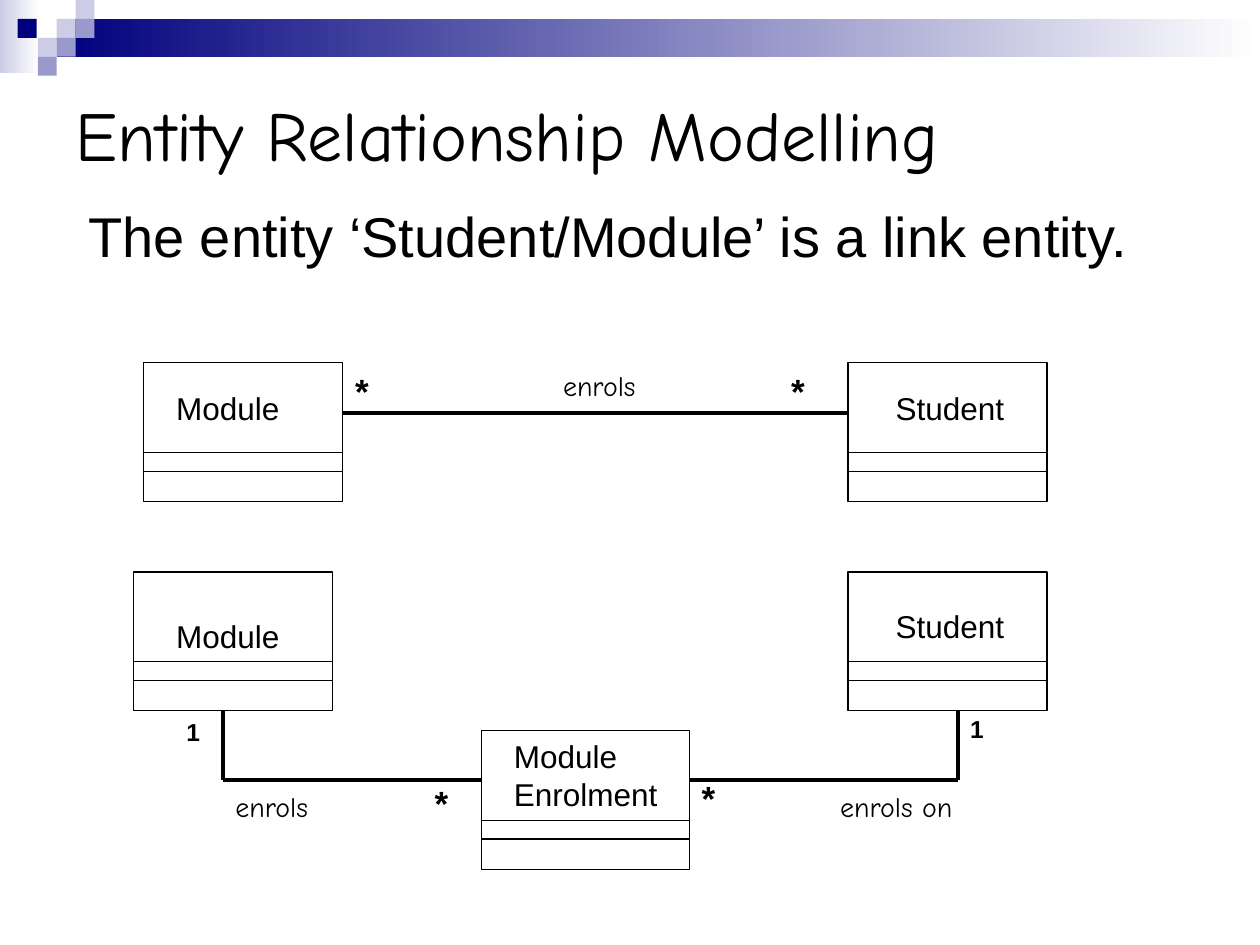
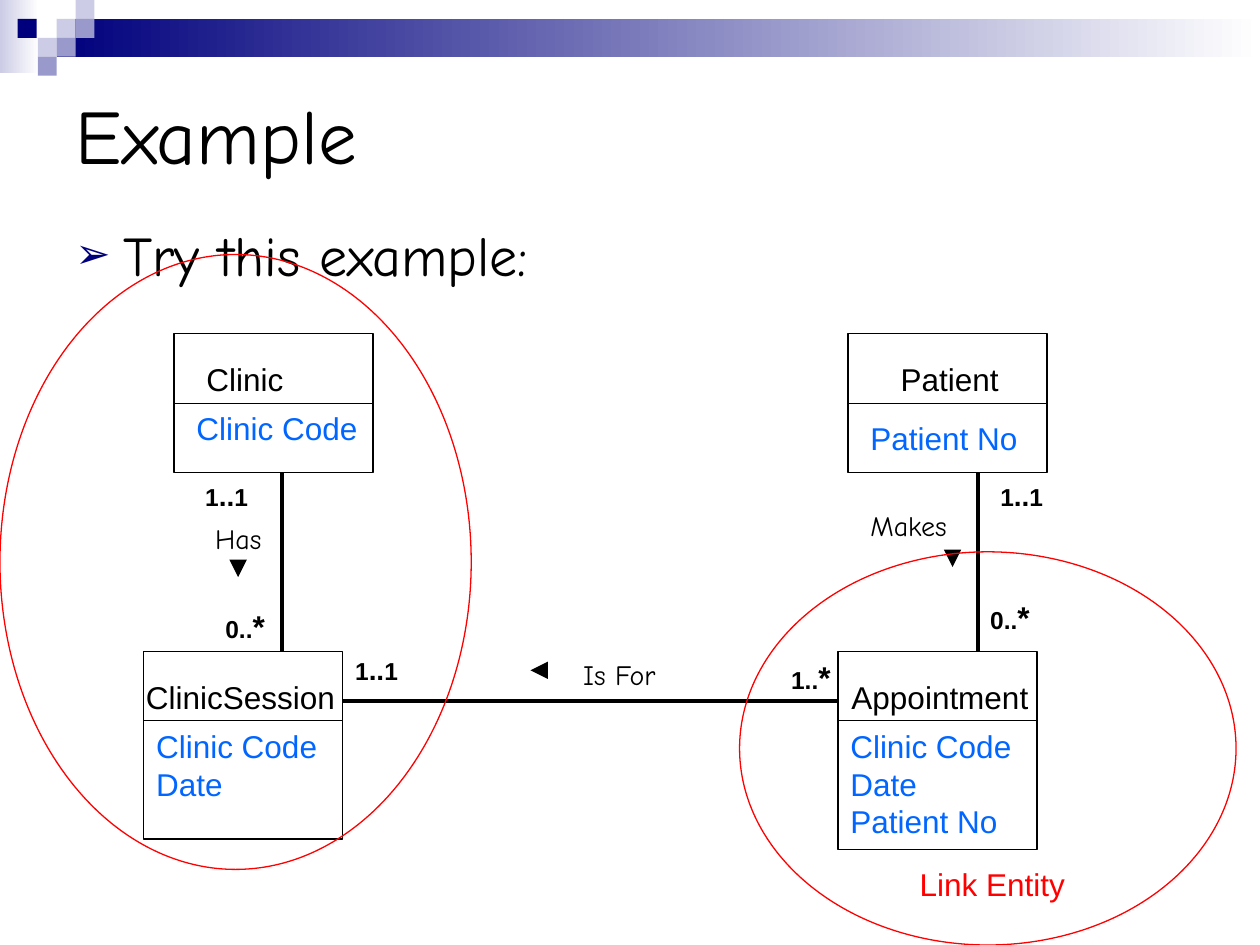
from itertools import groupby

from lxml import etree
from pptx import Presentation
from pptx.dml.color import RGBColor
from pptx.enum.shapes import MSO_CONNECTOR, MSO_SHAPE
from pptx.enum.text import MSO_ANCHOR, MSO_AUTO_SIZE, PP_ALIGN
from pptx.oxml.ns import qn
from pptx.util import Pt

EMU_PER_PX = 9144  # 100 px to the inch
TITLE_ONLY = 5
RECTANGLE, ELLIPSE = MSO_SHAPE.RECTANGLE, MSO_SHAPE.OVAL
STRAIGHT = MSO_CONNECTOR.STRAIGHT
MIDDLE, LEFT = MSO_ANCHOR.MIDDLE, PP_ALIGN.LEFT
FIT_SHAPE, NO_FIT = MSO_AUTO_SIZE.SHAPE_TO_FIT_TEXT, MSO_AUTO_SIZE.NONE

BLACK = RGBColor(0x00, 0x00, 0x00)
WHITE = RGBColor(0xFF, 0xFF, 0xFF)
NAVY = RGBColor(0x00, 0x00, 0x7D)
LAVENDER = RGBColor(0x99, 0x99, 0xCC)
PALE = RGBColor(0xCC, 0xCC, 0xE6)
KEY_BLUE = RGBColor(0x00, 0x66, 0xFF)
RED = RGBColor(0xFF, 0x00, 0x00)

SANS, HAND = "Arial", "Comic Neue"
THIN, THICK = 0.75, 2.25
ENTITY_WIDTH = 158
TILE = 15
TILES = [(45, 15, PALE), (60, 0, PALE), (60, 15, LAVENDER), (30, 30, PALE),
         (14, 15, NAVY), (45, 30, LAVENDER), (30, 45, LAVENDER)]


def emu(*lengths):
    return [length * EMU_PER_PX for length in lengths]


def write(frame, text, size=18, font=SANS, color=BLACK, bold=False, char_sizes=None):
    """Fill a text frame, one paragraph a line; char_sizes overrides size for single characters."""
    char_sizes = char_sizes or {}
    for index, line in enumerate(text.split("\n")):
        para = frame.add_paragraph() if index else frame.paragraphs[0]
        para.alignment = LEFT
        for span_size, chars in groupby(line, lambda char: char_sizes.get(char, size)):
            span = para.add_run()
            span.text = "".join(chars)
            span.font.size = Pt(span_size)
            span.font.name = font
            span.font.bold = bold
            span.font.color.rgb = color


class DiagramPage:
    def __init__(self, deck, title, title_size):
        self.page = deck.slides.add_slide(deck.slide_layouts[TITLE_ONLY])
        self.shapes = self.page.shapes
        self.title(title, title_size)
        self.shape(RECTANGLE, 0, 0, 31, 58, gradient=(PALE, WHITE))
        self.shape(RECTANGLE, 45, 15, 955, 30, gradient=(NAVY, WHITE))
        for left, top, color in TILES:
            self.shape(RECTANGLE, left, top, TILE, TILE, fill=color)

    def title(self, text, size):
        box = self.shapes.title
        box.left, box.top, box.width, box.height = emu(50, 50, 900, 112)
        box.text_frame.vertical_anchor = MIDDLE
        box.text_frame.auto_size = NO_FIT
        write(box.text_frame, text, size, HAND)

    def shape(self, kind, left, top, width, height, fill=None, gradient=None, line=None):
        shape = self.shapes.add_shape(kind, *emu(left, top, width, height))
        shape.shadow.inherit = False
        if gradient:
            shape.fill.gradient()
            shape.fill.gradient_angle = 0
            for stop, color in zip(shape.fill.gradient_stops, gradient):
                stop.color.rgb = color
        elif fill is not None:
            shape.fill.solid()
            shape.fill.fore_color.rgb = fill
        else:
            shape.fill.background()
        if line is None:
            shape.line.fill.background()
        else:
            shape.line.color.rgb = line
            shape.line.width = Pt(THIN)

    def line(self, x1, y1, x2, y2, width=THICK, arrow=False):
        """Draw a line; an arrow has its head at the first point."""
        line = self.shapes.add_connector(STRAIGHT, *emu(x1, y1, x2, y2))
        line.line.color.rgb = BLACK
        line.line.width = Pt(width)
        properties = line._element.spPr
        if arrow:
            etree.SubElement(properties.find(qn("a:ln")), qn("a:headEnd"),
                             type="triangle", w="lg", len="lg")
        etree.SubElement(properties, qn("a:effectLst"))

    def text(self, text, left, top, width, height=40, wrap=True, **style):
        box = self.shapes.add_textbox(*emu(left, top, width, height))
        box.text_frame.word_wrap = wrap
        box.text_frame.auto_size = FIT_SHAPE
        write(box.text_frame, text, **style)
        return box

    def relation(self, text, left, top, width=95):
        self.text(text, left, top, width, 37, size=16, font=HAND)

    def star(self, left, top):
        self.text("*", left, top, 71, 44, size=20, bold=True)

    def multiplicity(self, text, left, top, width=71):
        sizes = {"*": 18} if "*" in text else {".": 16}
        self.text(text, left, top, width, 37, size=14, bold=True, char_sizes=sizes)

    def entity(self, left, top, height=110, width=ENTITY_WIDTH, rules=(71, 86)):
        """Draw an entity box, split by rules at the given depths."""
        self.shape(RECTANGLE, left, top, width, height, line=BLACK)
        for depth in rules:
            self.line(left, top + depth, left + width, top + depth, THIN)

    def bullet(self, text, left, top, width, height, size):
        box = self.text(text, left, top, width, height, size=size, font=HAND)
        properties = box.text_frame.paragraphs[0]._p.get_or_add_pPr()
        indent = 38 * EMU_PER_PX
        properties.set("marL", str(indent))
        properties.set("indent", str(-indent))
        color = etree.SubElement(properties, qn("a:buClr"))
        etree.SubElement(color, qn("a:srgbClr"), val=str(NAVY))
        etree.SubElement(properties, qn("a:buSzPct"), val="75000")
        etree.SubElement(properties, qn("a:buFont"), typeface=SANS)
        etree.SubElement(properties, qn("a:buChar"), char="➢")


def build_link_entity(deck):
    page = DiagramPage(deck, "Entity Relationship Modelling", 40)
    page.text("The entity ‘Student/Module’ is a link entity.", 60, 155, 851, 64,
              wrap=False, size=32)

    for left, top in [(114, 288), (673, 288), (106, 454), (673, 454)]:
        page.entity(left, top)
    page.entity(382, 580, width=165)
    for top in (304, 485):
        page.text("Module", 130, top, 110)
    for top in (304, 477):
        page.text("Student", 701, top, 106, wrap=False)
    page.text("Module Enrolment", 398, 580, 142, 70)

    page.line(272, 328, 673, 328)
    for x, entity_edge in [(177, 382), (760, 547)]:
        page.line(x, 564, x, 619)
        page.line(x, 619, entity_edge, 619)

    for left, top in [(272, 288), (618, 288), (335, 615), (547, 611)]:
        page.star(left, top)
    page.multiplicity("1", 138, 564, 32)
    page.multiplicity("1", 760, 562, 32)
    page.relation("enrols", 437, 288)
    page.relation("enrols", 177, 622)
    page.relation("enrols on", 657, 622, 126)


def build_example(deck):
    page = DiagramPage(deck, "Example", 44)
    page.bullet("Try this example:", 50, 170, 900, 79, size=32)

    for left, top, height in [(138, 265, 110), (673, 265, 110),
                              (114, 517, 149), (665, 517, 157)]:
        page.entity(left, top, height, rules=(55,))
    page.text("Clinic", 154, 281, 126)
    page.text("Patient", 705, 281, 126)
    page.text("ClinicSession", 106, 533, 173)
    page.text("Appointment", 666, 533, 170)
    for keys, left, top in [("Clinic Code", 146, 320), ("Patient No", 681, 328),
                            ("Clinic Code\nDate", 114, 572),
                            ("Clinic Code\nDate\nPatient No", 665, 572)]:
        page.text(keys, left, top, 165, color=KEY_BLUE)

    page.line(272, 556, 665, 556)
    for x in (224, 776):
        page.line(x, 517, x, 375)
    for x1, y1, x2, y2 in [(421, 532, 429, 532), (756, 450, 756, 442), (189, 458, 189, 450)]:
        page.line(x1, y1, x2, y2, THIN, arrow=True)

    for left, top in [(153, 375), (784, 375), (272, 513)]:
        page.multiplicity("1..1", left, top)
    page.multiplicity("0..*", 169, 477, 55)
    page.multiplicity("0..*", 776, 470, 55)
    page.multiplicity("1..*", 618, 517, 55)
    page.relation("Has", 161, 409, 71)
    page.relation("Makes", 681, 399, 102)
    page.relation("Is For", 453, 517)

    page.shape(ELLIPSE, 0, 202, 374, 488, line=RED)
    page.shape(ELLIPSE, 587, 438, 394, 312, line=RED)
    page.text("Link Entity", 720, 682, 142, color=RED)


def main():
    deck = Presentation()
    deck.slide_width, deck.slide_height = emu(1000, 750)
    build_link_entity(deck)
    build_example(deck)
    deck.save("out.pptx")


if __name__ == "__main__":
    main()
